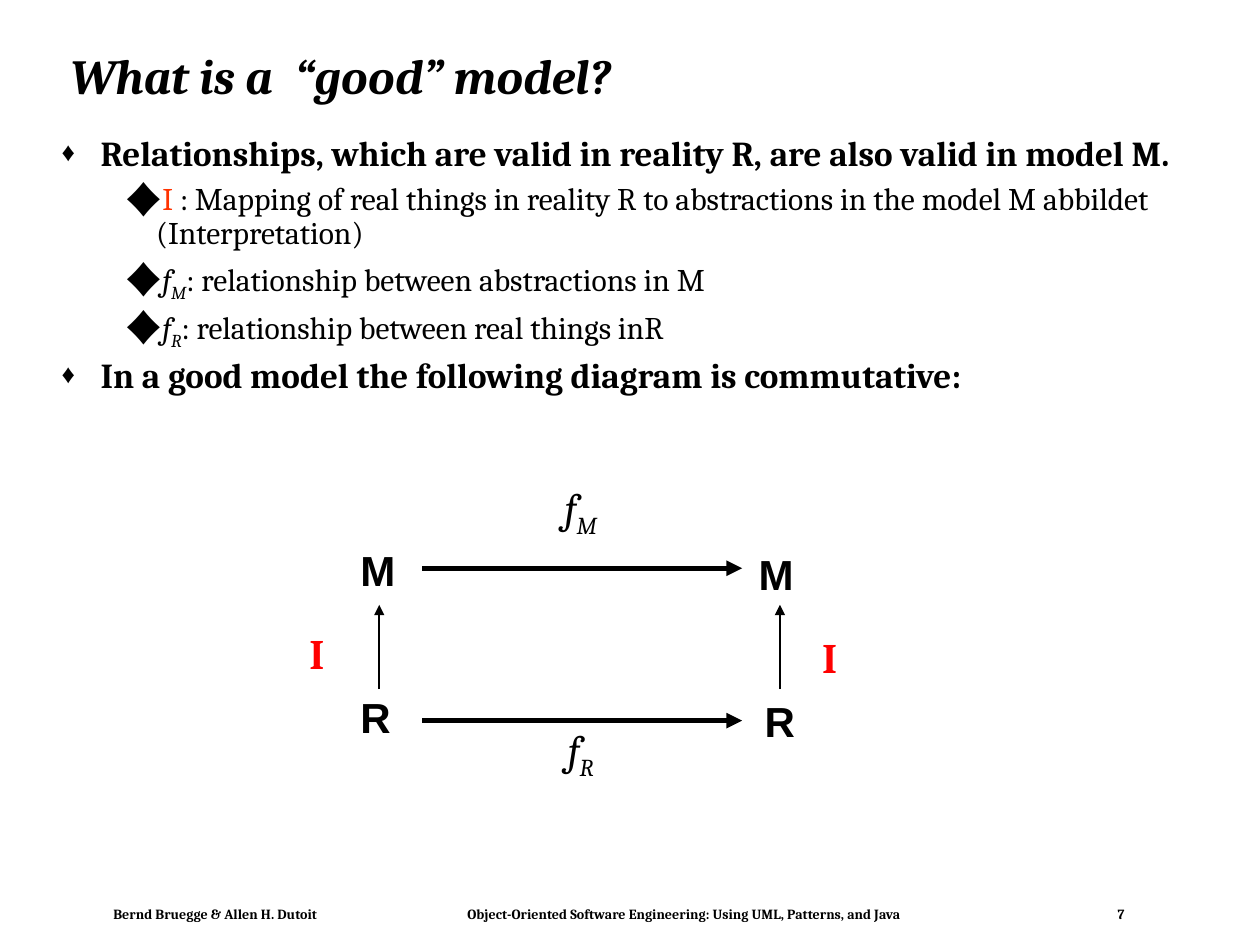
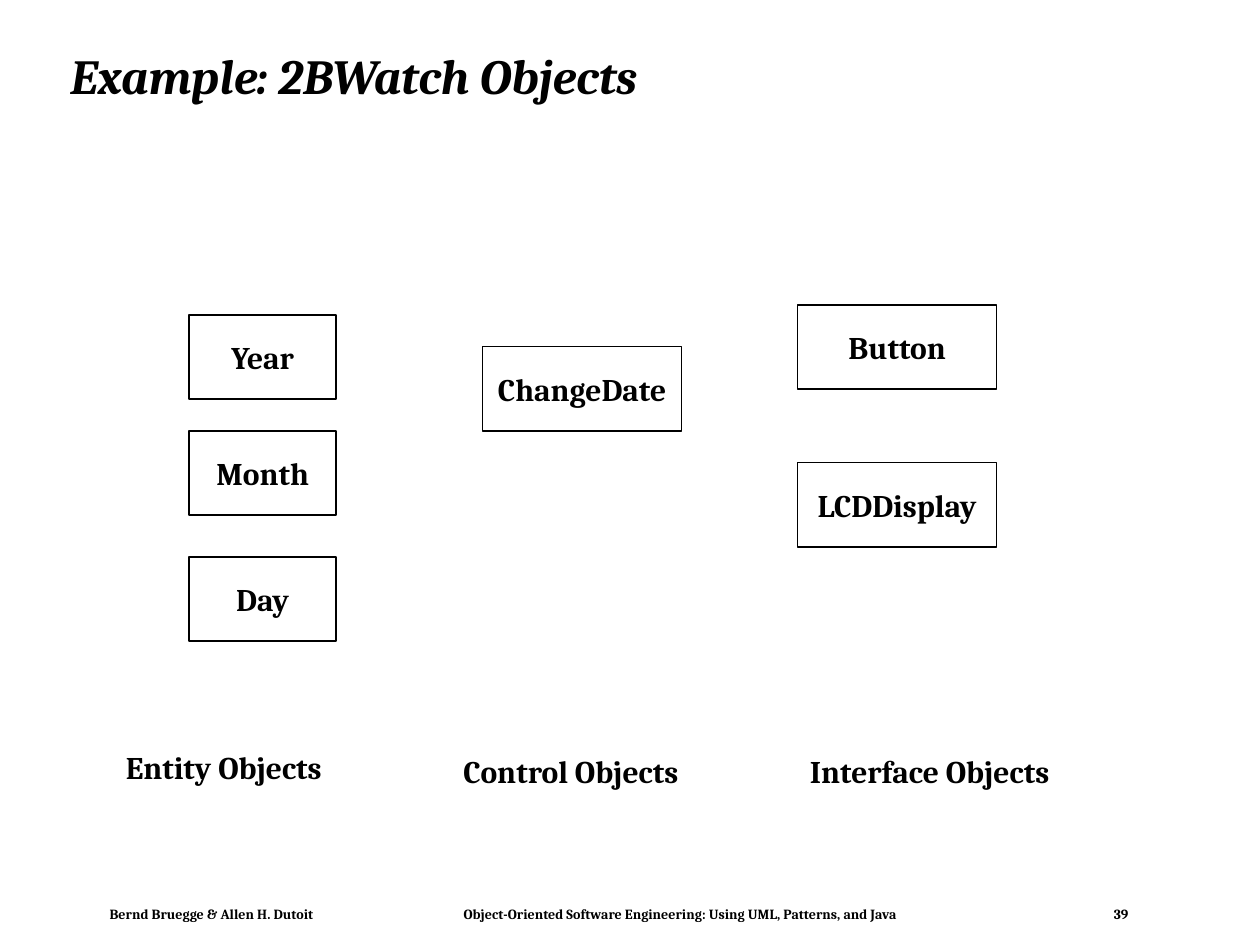
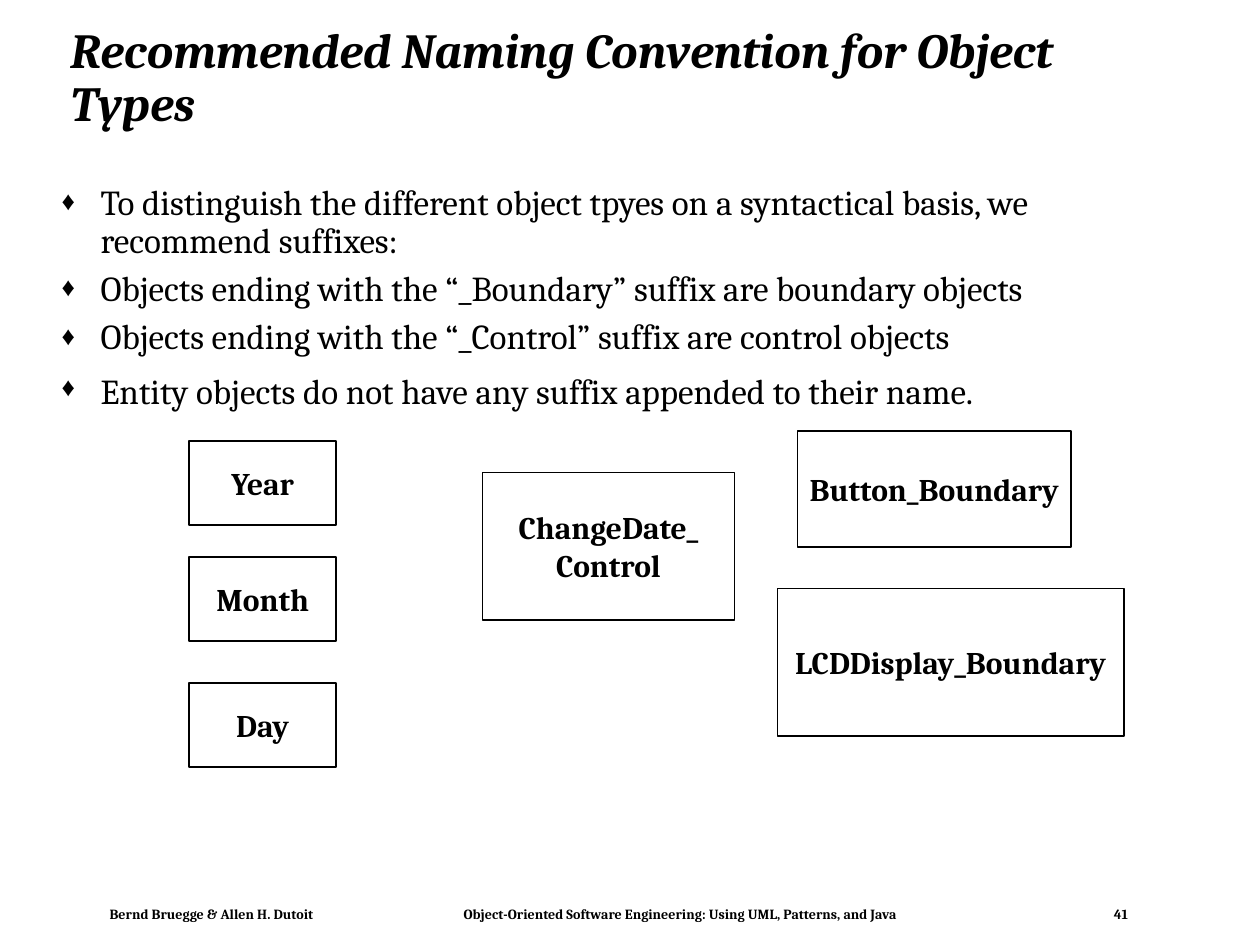
from lxml import etree
from pptx import Presentation
from pptx.dml.color import RGBColor
from pptx.enum.shapes import MSO_CONNECTOR, MSO_SHAPE
from pptx.enum.text import MSO_ANCHOR as ANCHOR, PP_ALIGN as ALIGN
from pptx.oxml.ns import qn
from pptx.util import Inches, Pt

BLACK, WHITE, RED, ORANGE = "000000", "FFFFFF", "FF0000", "FF3300"
rgb = RGBColor.from_string

SUB = {"italic": True, "baseline": -25000}
ITALIC = {"italic": True}
BOLD = {"bold": True, "size": 20}


def put_text(sp, paras, align=ALIGN.LEFT, anchor=ANCHOR.TOP, wrap=True, **fmt):
    """Fill sp with paragraphs, each a list of (text, format changes)."""
    tf = sp.text_frame
    tf.word_wrap, tf.vertical_anchor = wrap, anchor
    for i, runs in enumerate(paras):
        p = tf.add_paragraph() if i else tf.paragraphs[0]
        p.alignment = align
        for text, changes in runs:
            r = p.add_run()
            r.text = text
            values = {"name": "Cambria", "color": BLACK, "size": 18, **fmt, **changes}
            r.font.color.rgb = rgb(values.pop("color"))
            r.font.size = Pt(values.pop("size"))
            if "baseline" in values:
                r._r.get_or_add_rPr().set("baseline", str(values.pop("baseline")))
            for key, value in values.items():
                setattr(r.font, key, value)
    return tf


def add_text(s, at, paras, **fmt):
    return put_text(s.shapes.add_textbox(*map(Inches, at)), paras, **fmt)


prs = Presentation()
prs.slide_width, prs.slide_height = Inches(10), Inches(7.5)

# Title and footer of every slide
PAGES = [
    ("What is a  “good” model?", 7, 0.82),
    ("Example: 2BWatch Objects", 39, 0.79),
    ("Recommended Naming Convention for Object Types", 41, 0.79),
]
for title, number, footer_left in PAGES:
    s = prs.slides.add_slide(prs.slide_layouts[6])
    tf = add_text(s, (0.46, 0.24, 8.92, 0.77), [[(title, {})]],
                  anchor=ANCHOR.MIDDLE, size=28, bold=True, italic=True)
    tf.paragraphs[0].line_spacing = 0.9

    footer = ("Bernd Bruegge & Allen H. Dutoit\tObject-Oriented Software Engineering: "
              f"Using UML, Patterns, and Java\t{number}")
    tf = add_text(s, (footer_left, 7.15, 8.27, 0.21), [[(footer, {})]], size=8, bold=True)
    tf.margin_left = tf.margin_right = Inches(0.08)
    tf.margin_top = tf.margin_bottom = Inches(0.04)
    tabs = etree.SubElement(tf.paragraphs[0]._p.get_or_add_pPr(), qn("a:tabLst"))
    for stop in (2.81, 7.97):
        etree.SubElement(tabs, qn("a:tab"), pos=str(Inches(stop)), algn="l")

model, objects, naming = prs.slides

# Bulleted text: (level, runs)
MODEL_POINTS = [
    (0, [("Relationships, which are valid in reality R, are also valid in model M.", BOLD)]),
    (1, [("I ", {"color": ORANGE}),
         (": Mapping of real things in reality R to abstractions in the model M "
          "abbildet (Interpretation)", {})]),
    (1, [("f", ITALIC), ("M", SUB), (": relationship between abstractions in M", {})]),
    (1, [("f", ITALIC), ("R", SUB), (": relationship between real things inR", {})]),
    (0, [("In a good model the following diagram is commutative:", BOLD)]),
]
SIZE_20 = {"size": 20}
NAMING_POINTS = [
    (0, [("To distinguish the different object tpyes on a syntactical basis, "
          "we recommend suffixes:", SIZE_20)]),
    (0, [("Objects ending with the “_Boundary” suffix are boundary objects", SIZE_20)]),
    (0, [("Objects ending with the “_Control” suffix are control objects", SIZE_20)]),
    (0, [("Entity objects do not have any suffix appended to their name.", SIZE_20),
         (" ", {"size": 24})]),
]
# Per level: left margin, hanging indent, space before, bullet font, bullet size
LEVELS = [(0.31, 0.31, 6, "Arial", 75), (0.75, 0.25, 5.4, "Cambria", 120)]
for s, at, points in [(model, (0.39, 1.03, 9.03, 5.38), MODEL_POINTS),
                      (naming, (0.39, 1.42, 9.03, 2), NAMING_POINTS)]:
    tf = add_text(s, at, [runs for level, runs in points])
    for p, (level, runs) in zip(tf.paragraphs, points):
        margin, hang, before, bullet_font, percent = LEVELS[level]
        p.level, p.line_spacing, p.space_before = level, 0.9, Pt(before)
        pPr = p._p.get_or_add_pPr()
        pPr.set("marL", str(Inches(margin)))
        pPr.set("indent", str(-Inches(hang)))
        color = etree.SubElement(pPr, qn("a:buClr"))
        etree.SubElement(color, qn("a:srgbClr"), val=BLACK)
        etree.SubElement(pPr, qn("a:buSzPct"), val=str(percent * 1000))
        etree.SubElement(pPr, qn("a:buFont"), typeface=bullet_font)
        etree.SubElement(pPr, qn("a:buChar"), char="♦")

# Commutative diagram
for name, top in [("M", 3.8), ("R", 5.72)]:
    add_text(model, (4.18, top, 0.86, 0.5), [[("f", {}), (name, SUB)]],
             align=ALIGN.CENTER, anchor=ANCHOR.MIDDLE, size=24, italic=True)

ARIAL = {"name": "Arial"}
INTERPRETATION = {"color": RED}
for name, left, top, width, changes in [
    ("M", 2.27, 4.27, 1.46, ARIAL), ("M", 5.43, 4.3, 1.46, ARIAL),
    ("R", 2.25, 5.44, 1.46, ARIAL), ("R", 5.46, 5.47, 1.46, ARIAL),
    ("I", 2.35, 4.93, 0.33, INTERPRETATION), ("I", 6.42, 4.96, 0.33, INTERPRETATION),
]:
    add_text(model, (left, top, width, 0.5), [[(name, changes)]], align=ALIGN.CENTER,
             anchor=ANCHOR.MIDDLE, wrap=False, size=24, bold=True)

for *ends, weight in [(3.35, 4.51, 5.89, 4.51, 3), (3.35, 5.72, 5.89, 5.72, 3),
                      (3.01, 5.47, 3.01, 4.8, 1), (6.19, 5.47, 6.19, 4.8, 1)]:
    arrow = model.shapes.add_connector(MSO_CONNECTOR.STRAIGHT, *map(Inches, ends))
    arrow.line.color.rgb, arrow.line.width = rgb(BLACK), Pt(weight)
    etree.SubElement(arrow.line._get_or_add_ln(), qn("a:tailEnd"), type="triangle")
    etree.SubElement(arrow._element.spPr, qn("a:effectLst"))

# Object boxes: lines of text, left, top, width, height
ENTITIES = [("Year", 2.5), ("Month", 3.42), ("Day", 4.42)]
OBJECT_BOXES = [
    (["ChangeDate"], 3.83, 2.75, 1.58, 0.67),
    (["Button"], 6.33, 2.42, 1.58, 0.67),
    (["LCDDisplay"], 6.33, 3.67, 1.58, 0.67),
]
NAMING_BOXES = [
    (["ChangeDate_", "Control"], 3.83, 3.75, 2, 1.17),
    (["Button_Boundary"], 6.33, 3.42, 2.17, 0.92),
    (["LCDDisplay_Boundary"], 6.17, 4.67, 2.75, 1.17),
]
for s, entity_shift, boxes in [(objects, 0, OBJECT_BOXES), (naming, 1, NAMING_BOXES)]:
    entities = [([name], 1.5, top + entity_shift, 1.17, 0.67) for name, top in ENTITIES]
    for lines, *at in entities + boxes:
        sp = s.shapes.add_shape(MSO_SHAPE.RECTANGLE, *map(Inches, at))
        sp.shadow.inherit = False
        sp.fill.solid()
        sp.fill.fore_color.rgb = rgb(WHITE)
        sp.line.color.rgb, sp.line.width = rgb(BLACK), Pt(1)
        put_text(sp, [[(line, {})] for line in lines], align=ALIGN.CENTER,
                 anchor=ANCHOR.MIDDLE, wrap=False, bold=True)

for kind, left, top, width in [("Entity", 0.9, 5.89, 1.83), ("Control", 3.58, 5.92, 2.01),
                               ("Interface", 6.33, 5.92, 2.15)]:
    add_text(objects, (left, top, width, 0.4), [[(f"{kind} Objects", {})]],
             wrap=False, bold=True)

prs.save("out.pptx")
